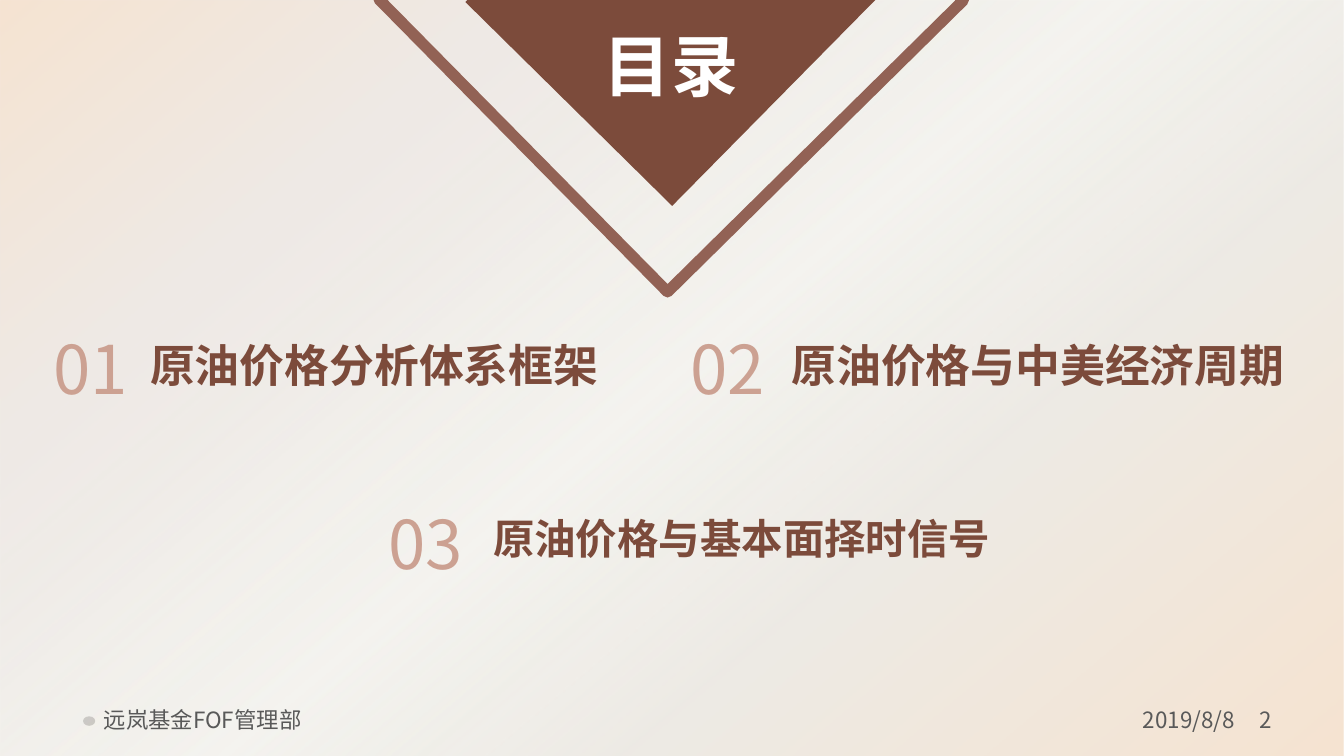
from lxml.etree import SubElement
from pptx import Presentation
from pptx.dml.color import RGBColor
from pptx.enum.shapes import MSO_SHAPE as Shape
from pptx.enum.text import MSO_ANCHOR as Anchor, PP_ALIGN as Align
from pptx.oxml.ns import qn
from pptx.util import Cm, Pt

FONT = "Noto Sans CJK SC"
BROWN = RGBColor(0x7C, 0x4B, 0x3B)
OUTLINE = RGBColor(0x92, 0x62, 0x55)
ROSE = RGBColor(0xCC, 0xA1, 0x92)
WHITE = RGBColor(0xFF, 0xFF, 0xFF)
GRAY = RGBColor(0x80, 0x80, 0x80)
FOOTER = RGBColor(0x59, 0x59, 0x59)
PEACH = RGBColor(0xF5, 0xE3, 0xD1)
MIST = RGBColor(0xEE, 0xE9, 0xE5)
PEARL = RGBColor(0xEC, 0xEA, 0xE3)
LINEN = RGBColor(0xED, 0xEA, 0xE4)

WIDTH, HEIGHT = 25.4, 14.29
STOPS = [(0, PEACH, 100), (23, MIST, 100), (50, PEARL, 56), (69, LINEN, 100), (99, PEACH, 100)]
ENTRIES = [
    ("01", "原油价格分析体系框架", 0.76, 6.05, 2.59, 9.2, 24),
    ("02", "原油价格与中美经济周期", 12.8, 6.05, 14.71, 10.6, 24),
    ("03", "原油价格与基本面择时信号", 7.09, 9.37, 9.07, 10.6, 22.2),
]


class Painter:
    def __init__(self, page):
        self.page = page

    def shape(self, kind, left, top, width, height, fill=None, line=None, weight=0, turn=0):
        box = self.page.shapes.add_shape(kind, Cm(left), Cm(top), Cm(width), Cm(height))
        box.shadow.inherit = False
        box.rotation = turn
        if fill is None:
            box.fill.background()
        else:
            box.fill.solid()
            box.fill.fore_color.rgb = fill
        if line is None:
            box.line.fill.background()
        else:
            box.line.color.rgb = line
            box.line.width = Pt(weight)
            SubElement(box.line._get_or_add_ln(), qn("a:round"))
        return box

    def backdrop(self, stops, angle):
        box = self.shape(Shape.RECTANGLE, 0, 0, WIDTH, HEIGHT)
        box.fill.gradient()
        box.fill.gradient_angle = angle
        stop_list = box._element.spPr.find(qn("a:gradFill")).find(qn("a:gsLst"))
        for old in list(stop_list):
            stop_list.remove(old)
        for place, color, opacity in stops:
            stop = SubElement(stop_list, qn("a:gs"), pos=str(place * 1000))
            tint = SubElement(stop, qn("a:srgbClr"), val=str(color))
            if opacity < 100:
                SubElement(tint, qn("a:alpha"), val=str(opacity * 1000))

    def text(self, words, left, top, width, height, size, color, bold=False,
             align=Align.LEFT, anchor=Anchor.TOP, insets=(0.25, 0.25), wrap=True):
        box = self.page.shapes.add_textbox(Cm(left), Cm(top), Cm(width), Cm(height))
        frame = box.text_frame
        frame.word_wrap = wrap
        frame.vertical_anchor = anchor
        frame.margin_left, frame.margin_right = (Cm(inset) for inset in insets)
        frame.margin_top = frame.margin_bottom = Cm(0.13)
        para = frame.paragraphs[0]
        para.alignment = align
        span = para.add_run()
        span.text = words
        span.font.size = Pt(size)
        span.font.bold = bold
        span.font.name = FONT
        span.font.color.rgb = color
        SubElement(span.font._element, qn("a:ea"), typeface=FONT)

    def footer(self, words, left, width, insets, align=Align.LEFT):
        self.text(words, left, 13.23, width, 0.76, 12, FOOTER,
                  align=align, anchor=Anchor.MIDDLE, insets=insets)


def main():
    deck = Presentation()
    deck.slide_width, deck.slide_height = Cm(WIDTH), Cm(HEIGHT)
    painter = Painter(deck.slides.add_slide(deck.slide_layouts[6]))

    for left in (23.5, 1.57):
        painter.shape(Shape.OVAL, left, 13.54, 0.23, 0.18, fill=GRAY)
    painter.backdrop(STOPS, 310)

    painter.shape(Shape.RECTANGLE, 8.76, -3.89, 7.85, 7.77, line=OUTLINE, weight=6, turn=315.4)
    painter.shape(Shape.RECTANGLE, 9.93, -2.74, 5.51, 5.49, fill=BROWN, turn=314.6)
    painter.text("目录", 10.69, 0.53, 3.99, 1.4, 36, WHITE, bold=True,
                 align=Align.CENTER, anchor=Anchor.MIDDLE)

    for number, title, number_left, top, title_left, width, size in ENTRIES:
        painter.text(title, title_left, top + 0.2, width, 1.4, size, BROWN, bold=True)
        painter.text(number, number_left, top, 2.01, 1.8, 36, ROSE, wrap=False)

    painter.footer("2019/8/8", 17.68, 5.79, (0.25, 0.13), Align.RIGHT)
    painter.footer("远岚基金FOF管理部", 1.83, 7.9, (0.13, 0.25))
    painter.footer("2", 23.72, 1.55, (0.08, 0.13))

    deck.save("out.pptx")


if __name__ == "__main__":
    main()
